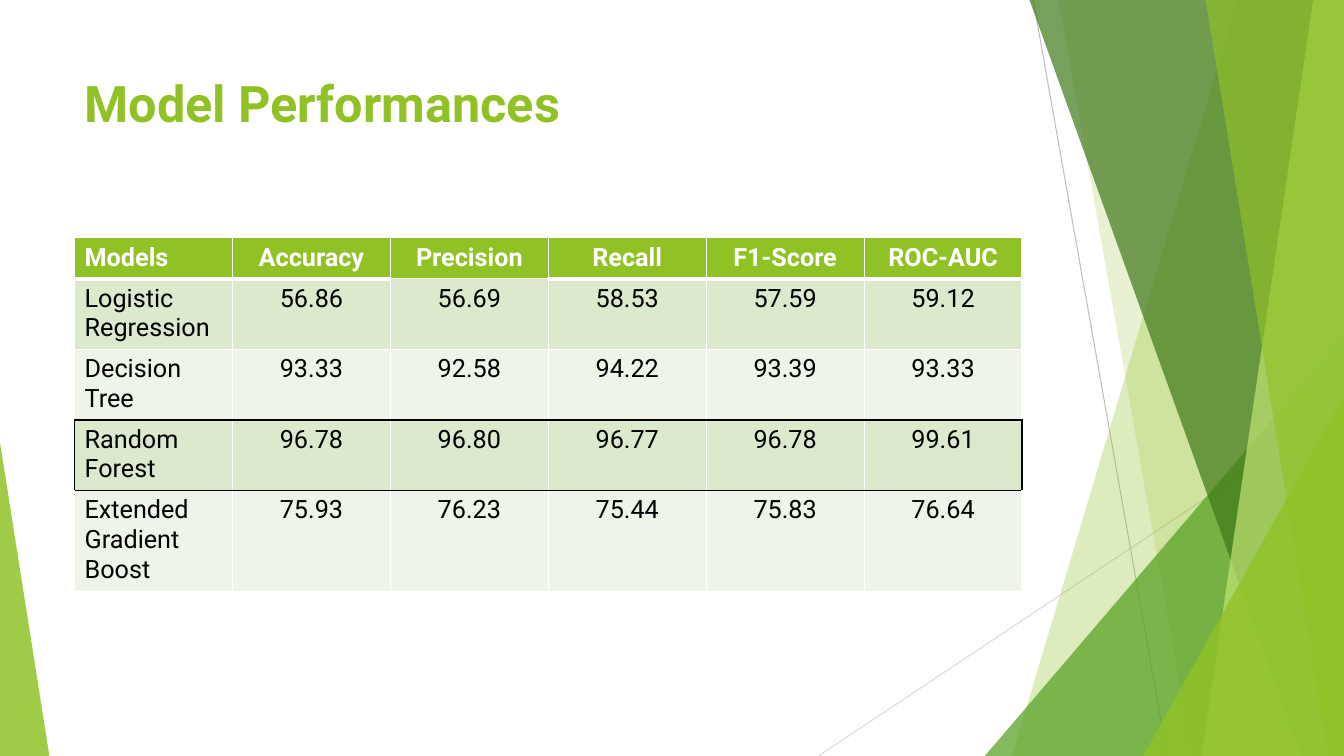
from lxml import etree
from pptx import Presentation
from pptx.dml import color
from pptx.enum import shapes, text
from pptx.oxml import ns
from pptx.util import Pt

GREEN, BLACK, WHITE = "90C226", "000000", "FFFFFF"
BAND, LIGHT_BAND = "DBE9CD", "EEF4E8"
WIDTH, HEIGHT = 960, 540


def rgb(value):
    return color.RGBColor.from_string(value)


class Deck:
    font = "Roboto"

    def __init__(self):
        self.prs = Presentation()
        self.prs.slide_width, self.prs.slide_height = Pt(WIDTH), Pt(HEIGHT)
        self.s = self.prs.slides.add_slide(self.prs.slide_layouts[6])

    def line(self, x1, y1, x2, y2, hue):
        c = self.s.shapes.add_connector(
            shapes.MSO_CONNECTOR.STRAIGHT, Pt(x1), Pt(y1), Pt(x2), Pt(y2))
        c.line.color.rgb = rgb(hue)
        c.line.width = Pt(0.75)
        etree.SubElement(c._element.spPr, ns.qn("a:effectLst"))

    def paint(self, sp, hue, opacity):
        sp.shadow.inherit = False
        sp.line.fill.background()
        sp.fill.solid()
        sp.fill.fore_color.rgb = rgb(hue)
        clr = sp._element.spPr.find(".//" + ns.qn("a:srgbClr"))
        etree.SubElement(clr, ns.qn("a:alpha"), val=str(opacity * 1000))

    def shard(self, top_x, bottom_x, hue, opacity):
        top = Pt(-0.72)
        fb = self.s.shapes.build_freeform(Pt(top_x), top)
        fb.add_line_segments([(Pt(WIDTH), top), (Pt(WIDTH), Pt(HEIGHT)),
                              (Pt(bottom_x), Pt(HEIGHT))])
        self.paint(fb.convert_to_shape(), hue, opacity)

    def triangle(self, x, y, w, apex, hue, opacity):
        sp = self.s.shapes.add_shape(
            shapes.MSO_SHAPE.ISOSCELES_TRIANGLE, Pt(x), Pt(y), Pt(w), Pt(HEIGHT - y))
        sp.adjustments[0] = apex
        self.paint(sp, hue, opacity)

    def style(self, p, size, hue, bold):
        for r in p.runs:
            r.font.name, r.font.size, r.font.bold = self.font, Pt(size), bold
            r.font.color.rgb = rgb(hue)

    def title(self, x, y, w, h, words):
        tf = self.s.shapes.add_textbox(Pt(x), Pt(y), Pt(w), Pt(h)).text_frame
        tf.word_wrap = True
        tf.text = words
        self.style(tf.paragraphs[0], 36, GREEN, True)

    def border(self, cell, side, hue, width):
        ln = etree.SubElement(cell._tc.get_or_add_tcPr(), ns.qn("a:ln" + side),
                              w=str(Pt(width)))
        fill = etree.SubElement(ln, ns.qn("a:solidFill"))
        etree.SubElement(fill, ns.qn("a:srgbClr"), val=hue)

    def cell(self, cell, words, centred, fill, hue, bold, borders):
        cell.text = words
        p = cell.text_frame.paragraphs[0]
        p.alignment = text.PP_ALIGN.CENTER if centred else text.PP_ALIGN.LEFT
        self.style(p, 18, hue, bold)
        for side, (line_hue, width) in borders.items():
            self.border(cell, side, line_hue, width)
        cell.fill.solid()
        cell.fill.fore_color.rgb = rgb(fill)

    def table(self, x, y, w, heights, rows, boxed_row):
        last = len(rows[0]) - 1
        tbl = self.s.shapes.add_table(
            len(rows), last + 1, Pt(x), Pt(y), Pt(w), Pt(sum(heights))).table
        for col in tbl.columns:
            col.width = Pt(w / (last + 1))
        for i, row in enumerate(rows):
            tbl.rows[i].height = Pt(heights[i])
            fill = BAND if i % 2 else LIGHT_BAND
            for j, words in enumerate(row):
                borders = {side: (WHITE, 1) for side in "LRTB"}
                if words != "Precision" and i == 0:
                    borders["B"] = (WHITE, 3)
                if i == 1 and rows[0][j] != "Precision":
                    borders["T"] = (WHITE, 3)
                black = {"L": i == boxed_row and j == 0,
                         "R": i == boxed_row and j == last,
                         "T": i in (boxed_row, boxed_row + 1),
                         "B": i in (boxed_row - 1, boxed_row)}
                borders.update({k: (BLACK, 1) for k, on in black.items() if on})
                self.cell(tbl.cell(i, j), words, j > 0, fill if i else GREEN,
                          BLACK if i else WHITE, i == 0, borders)


def main():
    d = Deck()
    d.line(738, 0, 833.76, HEIGHT, "BFBFBF")
    d.line(WIDTH, 290.16, 584.64, HEIGHT, "D9D9D9")
    d.shard(884.16, 722.88, GREEN, 30)
    d.shard(756, 851.76, GREEN, 20)
    d.triangle(703.44, 239.76, 256.56, 1, "54A021", 72)
    d.shard(735.12, 929.52, "3F7819", 70)
    d.shard(938.16, 858.24, "C0E474", 70)
    d.shard(861.12, 948.96, GREEN, 65)
    d.triangle(816.48, 282.96, 143.52, 1, GREEN, 80)
    d.triangle(0, 316.08, 35.28, 0, GREEN, 85)
    d.title(53.28, 48.24, 676.8, 103.68, "Model Performances")
    d.table(53.28, 169.92, 676.8, [29.2, 49.4, 49.4, 49.4, 70.5], [
        ["Models", "Accuracy", "Precision", "Recall", "F1-Score", "ROC-AUC"],
        ["Logistic Regression", "56.86", "56.69", "58.53", "57.59", "59.12"],
        ["Decision Tree", "93.33", "92.58", "94.22", "93.39", "93.33"],
        ["Random Forest", "96.78", "96.80", "96.77", "96.78", "99.61"],
        ["Extended Gradient Boost", "75.93", "76.23", "75.44", "75.83", "76.64"],
    ], boxed_row=3)
    d.prs.save("out.pptx")


if __name__ == "__main__":
    main()
